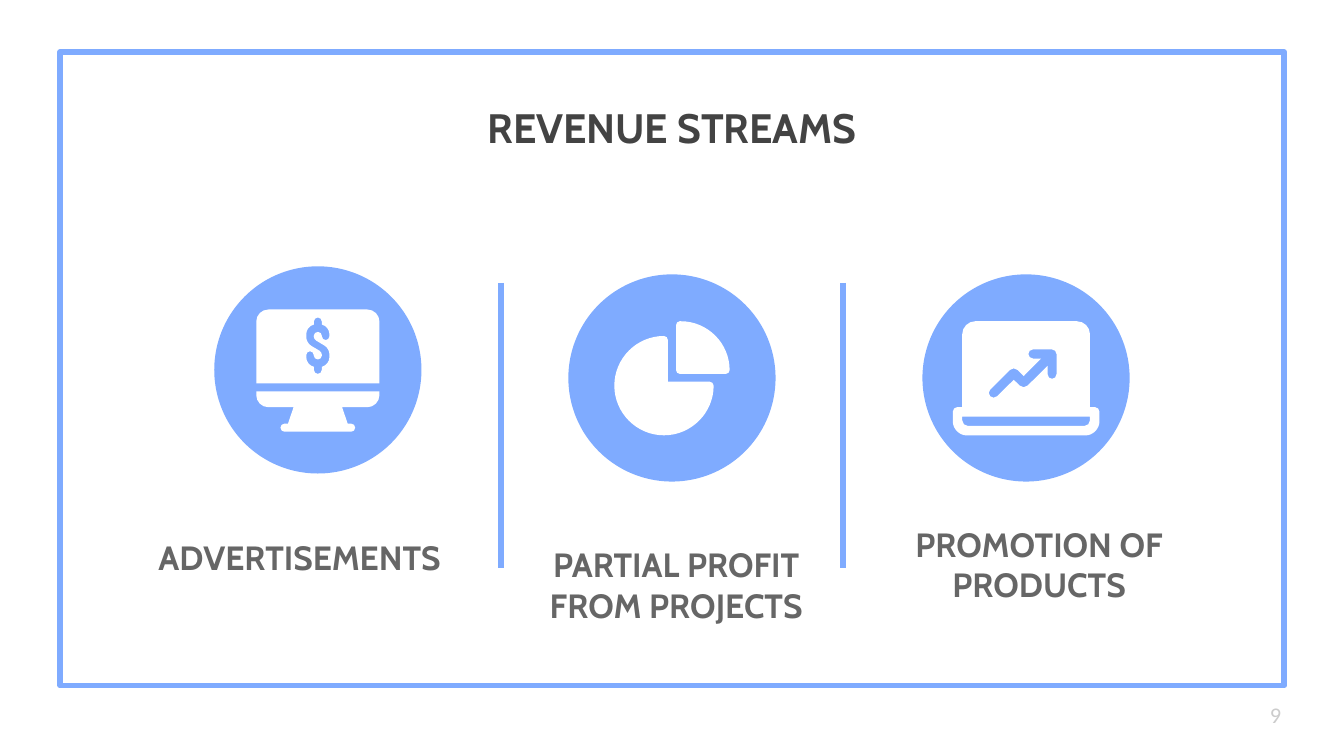
import math

from lxml import etree
from pptx import Presentation
from pptx.dml.color import RGBColor
from pptx.enum import shapes, text
from pptx.oxml import ns
from pptx.util import Pt

BLUE = RGBColor(0x7F, 0xAB, 0xFF)
WHITE = RGBColor(0xFF, 0xFF, 0xFF)
DARK = RGBColor(0x43, 0x43, 0x43)
GREY = RGBColor(0x66, 0x66, 0x66)
PALE = RGBColor(0xCC, 0xCC, 0xCC)
LINE_WIDTH = Pt(3)
CIRCLE = 108
CENTER = CIRCLE / 2
ARC_HANDLE = 0.55

SCREEN = [(21, 21.6, 6.5), (87, 21.6, 6.5), (87, 61.2, 0), (21, 61.2, 0)]
STAND_HALF = [(87, 65.5, 0), (87, 74, 6.5), (67, 74, 0), (70, 82.8, 0),
              (74, 82.8, 2.1), (74, 87.1, 2.1)]
DOLLAR_HALF = [(-2.1, -15.1, 2.1), (2.1, -15.1, 2.1), (2.1, -11.3, 0),
               (6.2, -10.3, 4), (6.2, -3, 2), (2.2, -3, 2),
               (2.2, -7.4, 2.2), (-2.2, -7.4, 2.2), (-2.2, -3.5, 1.5),
               (6.2, 1.5, 3), (6.2, 10.3, 4), (2.1, 11.3, 0)]
PIE_BODY = [(23.1, 31.5, 26.6), (51.8, 31.5, 2.1), (51.8, 56, 0),
            (76.3, 56, 2.1), (76.3, 84.7, 26.6), (23.1, 84.7, 26.6)]
PIE_SLICE = [(56.2, 23.6, 2), (84.9, 23.6, 26.2), (84.9, 51.8, 2), (56.2, 51.8, 2)]
LAPTOP_HALF = [(88.2, 23.6, 7), (88.2, 69.6, 0), (93.3, 69.6, 2.5), (93.3, 84.8, 7.7)]
TRAY_HALF = [(88.2, 74.7, 0), (88.2, 79.7, 3)]
TREND_ARROW = [(70.3, 38.7, 2.5), (70.3, 54.5, 2.5), (65.5, 54.5, 2.5),
               (65.5, 47.5, 0), (52.7, 60.2, 3), (47.4, 55, 0),
               (36.6, 65.6, 2.5), (33, 62, 2.5), (47.4, 47.6, 3),
               (52.7, 53, 0), (62, 43.6, 0), (55.2, 43.6, 2.5),
               (55.2, 38.7, 2.5)]


def mirrored(half):
    return half + [(CIRCLE - x, y, radius) for x, y, radius in reversed(half)]


def dollar_sign(center_x, center_y):
    corners = DOLLAR_HALF + [(-x, -y, radius) for x, y, radius in DOLLAR_HALF]
    return [(center_x + x, center_y + y, radius) for x, y, radius in corners]


def toward(start, end, distance):
    share = distance / math.dist(start, end)
    return tuple(a + (b - a) * share for a, b in zip(start, end))


def round_corners(corners):
    steps = []
    for index, (x, y, radius) in enumerate(corners):
        corner = (x, y)
        if not radius:
            steps.append((corner, None))
            continue
        first = toward(corner, corners[index - 1][:2], radius)
        last = toward(corner, corners[(index + 1) % len(corners)][:2], radius)
        handles = [toward(end, corner, radius * ARC_HANDLE) for end in (first, last)]
        steps += [(first, None), (last, handles)]
    return steps


def curve_segment(segment, handles):
    segment.tag = ns.qn("a:cubicBezTo")
    for index, (x, y) in enumerate(handles):
        point = etree.Element(ns.qn("a:pt"), x=str(x), y=str(y))
        segment.insert(index, point)


def add_outline(slide, left, top, *contours):
    def place(point):
        return Pt(left + point[0]), Pt(top + point[1])

    builder = None
    curves = []
    for contour in contours:
        steps = round_corners(contour)
        points = [place(point) for point, handles in steps]
        if builder is None:
            builder = slide.shapes.build_freeform(*points[0])
        else:
            builder.move_to(*points[0])
        builder.add_line_segments(points[1:], close=True)
        curves += [handles for point, handles in steps[1:]]
    shape = builder.convert_to_shape()
    for segment, handles in zip(list(shape._element.iter(ns.qn("a:lnTo"))), curves):
        if handles:
            placed = [place(handle) for handle in handles]
            curve_segment(segment, [(x - shape.left, y - shape.top) for x, y in placed])
    shape.shadow.inherit = False
    shape.fill.solid()
    shape.fill.fore_color.rgb = WHITE
    shape.line.fill.background()


def draw_monitor(slide, left, top):
    add_outline(slide, left, top, mirrored(STAND_HALF))
    add_outline(slide, left, top, SCREEN, dollar_sign(CENTER, 41))


def draw_pie(slide, left, top):
    add_outline(slide, left, top, PIE_BODY)
    add_outline(slide, left, top, PIE_SLICE)


def draw_laptop(slide, left, top):
    add_outline(slide, left, top, TREND_ARROW, mirrored(TRAY_HALF), mirrored(LAPTOP_HALF))


def write_text(shape, box, wording, font_name, size, color, bold=True,
               align=text.PP_ALIGN.CENTER, anchor=text.MSO_ANCHOR.BOTTOM):
    shape.left, shape.top, shape.width, shape.height = (Pt(value) for value in box)
    frame = shape.text_frame
    frame.word_wrap = True
    frame.auto_size = text.MSO_AUTO_SIZE.NONE
    frame.vertical_anchor = anchor
    frame.margin_left = frame.margin_right = Pt(7.2)
    frame.margin_top = frame.margin_bottom = Pt(7.2)
    frame.text = wording
    paragraph = frame.paragraphs[0]
    paragraph.alignment = align
    paragraph.font.name = font_name
    paragraph.font.size = Pt(size)
    paragraph.font.bold = bold
    paragraph.font.color.rgb = color


def add_text(slide, box, *args, **options):
    shape = slide.shapes.add_textbox(0, 0, 0, 0)
    write_text(shape, box, *args, **options)


def add_blue_shape(slide, kind, left, top, width, height):
    shape = slide.shapes.add_shape(kind, Pt(left), Pt(top), Pt(width), Pt(height))
    shape.shadow.inherit = False
    shape.line.color.rgb = BLUE
    shape.line.width = LINE_WIDTH
    return shape


def add_frame(slide, left, top, width, height):
    frame = add_blue_shape(slide, shapes.MSO_SHAPE.RECTANGLE, left, top, width, height)
    frame.fill.background()


def add_divider(slide, x, top, height):
    line = slide.shapes.add_connector(shapes.MSO_CONNECTOR.STRAIGHT,
                                      Pt(x), Pt(top), Pt(x), Pt(top + height))
    line.line.color.rgb = BLUE
    line.line.width = LINE_WIDTH
    etree.SubElement(line._element.spPr, ns.qn("a:effectLst"))


def add_stream(slide, left, top, draw_icon, wording, caption_box):
    circle = add_blue_shape(slide, shapes.MSO_SHAPE.OVAL, left, top, CIRCLE, CIRCLE)
    circle.fill.solid()
    circle.fill.fore_color.rgb = BLUE
    draw_icon(slide, left, top)
    x, y, width, height = caption_box
    add_text(slide, (left + x, top + y, width, height), wording, "Cabin", 18, GREY)


def build_revenue_slide(presentation):
    slide = presentation.slides.add_slide(presentation.slide_layouts[5])
    add_frame(slide, 32.2, 27.8, 655.8, 339.5)
    for x in (268.3, 451.5):
        add_divider(slide, x, 151.6, 152.6)
    write_text(slide.shapes.title, (87.8, 47.5, 544.4, 38.2), "REVENUE STREAMS",
               "Cabin", 22, DARK, anchor=text.MSO_ANCHOR.TOP)
    streams = [
        (144.2, draw_monitor, "ADVERTISEMENTS", (-53.8, 141.3, 196, 31)),
        (148.5, draw_pie, "PARTIAL PROFIT FROM PROJECTS", (-26.9, 142.4, 166.3, 51)),
        (148.5, draw_laptop, "PROMOTION OF PRODUCTS", (-22.2, 131.6, 166.3, 51)),
    ]
    for index, (top, draw_icon, wording, caption_box) in enumerate(streams):
        add_stream(slide, 116.3 + index * 189.7, top, draw_icon, wording, caption_box)
    add_text(slide, (673.2, 367.2, 43.2, 31), "9", "Calibri", 12, PALE, bold=False,
             align=text.PP_ALIGN.LEFT, anchor=text.MSO_ANCHOR.MIDDLE)


def main():
    presentation = Presentation()
    presentation.slide_width = Pt(720)
    presentation.slide_height = Pt(405)
    build_revenue_slide(presentation)
    presentation.save("out.pptx")


if __name__ == "__main__":
    main()
